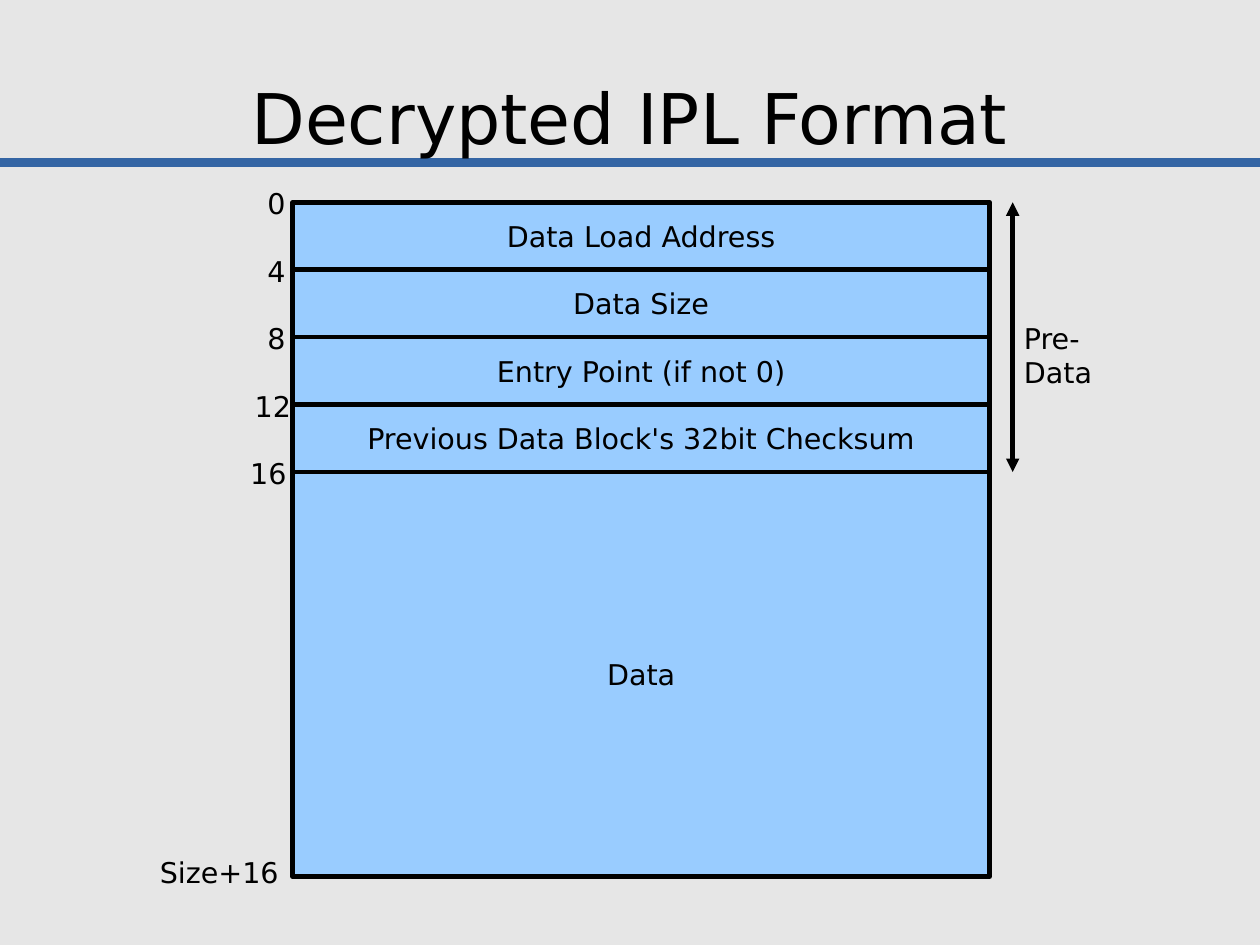
from pptx import Presentation
from pptx.dml.color import RGBColor
from pptx.enum.shapes import MSO_CONNECTOR, MSO_SHAPE
from pptx.enum.text import MSO_ANCHOR, MSO_AUTO_SIZE, PP_ALIGN
from pptx.oxml.ns import qn
from pptx.util import Inches, Pt
from lxml import etree

RECT = MSO_SHAPE.RECTANGLE
LINE = MSO_CONNECTOR.STRAIGHT
MIDDLE, TOP = MSO_ANCHOR.MIDDLE, MSO_ANCHOR.TOP
CENTER, LEFT = PP_ALIGN.CENTER, PP_ALIGN.LEFT
GROW = MSO_AUTO_SIZE.SHAPE_TO_FIT_TEXT


def paint(color, hue):
    color.rgb = RGBColor.from_string(hue)


def write(shape, text, size=18, align=CENTER, anchor=MIDDLE, pad=(0.12, 0.07), wrap=True):
    frame = shape.text_frame
    frame.word_wrap = wrap
    frame.vertical_anchor = anchor
    frame.margin_left = frame.margin_right = Inches(pad[0])
    frame.margin_top = frame.margin_bottom = Inches(pad[1])
    para = frame.paragraphs[0]
    para.alignment = align
    run = para.add_run()
    run.text = text
    run.font.size = Pt(size)
    run.font.name = "DejaVu Sans"
    paint(run.font.color, "000000")


# Slide of 28 by 21 cm
deck = Presentation()
deck.slide_width, deck.slide_height = Inches(28 / 2.54), Inches(21 / 2.54)
slide = deck.slides.add_slide(deck.slide_layouts[6])
slide.background.fill.solid()
paint(slide.background.fill.fore_color, "E6E6E6")
shapes = slide.shapes

# Layout of the block diagram
left, top, width, row = 2.56, 1.77, 6.1, 0.59
fields = [
    ("Data Load Address", 1),
    ("Data Size", 1),
    ("Entry Point (if not 0)", 1),
    ("Previous Data Block's 32bit Checksum", 1),
    ("Data", 6),
]
split = top + 4 * row

# Title rule and arrow beside the first four fields
rules = [
    (0, 1.42, 28 / 2.54, 1.42, "3465A4", 5.67, False),
    (8.86, top, 8.86, split, "000000", 2.83, True),
]
for x1, y1, x2, y2, hue, weight, arrow in rules:
    rule = shapes.add_connector(LINE, Inches(x1), Inches(y1), Inches(x2), Inches(y2))
    paint(rule.line.color, hue)
    rule.line.width = Pt(weight)
    if arrow:
        for end in ("a:headEnd", "a:tailEnd"):
            etree.SubElement(rule.line._get_or_add_ln(), qn(end), type="triangle")
    etree.SubElement(rule._element.spPr, qn("a:effectLst"))

# Title
title = shapes.add_textbox(Inches(0.55), Inches(0.33), Inches(9.92), Inches(1.38))
write(title, "Decrypted IPL Format", size=44, pad=(0, 0))

# Fields, stacked by their height in rows
y = top
for name, rows in fields:
    field = shapes.add_shape(RECT, Inches(left), Inches(y), Inches(width), Inches(rows * row))
    field.shadow.inherit = False
    field.fill.solid()
    paint(field.fill.fore_color, "99CCFF")
    paint(field.line.color, "000000")
    field.line.width = Pt(2.83)
    write(field, name)
    y += rows * row

# Offsets and side label: text, left, row line, width
labels = [
    ("0", 2.24, 0, 0.36),
    ("4", 2.24, 1, 0.36),
    ("8", 2.24, 2, 0.36),
    ("12", 2.13, 3, 0.52),
    ("16", 2.09, 4, 0.52),
    ("Size+16", 1.3, 9.92, 1.24),
    ("Pre-Data", 8.86, 2, 1.28),
]
for text, x, step, wide in labels:
    label = shapes.add_textbox(Inches(x), Inches(top - 0.19 + step * row), Inches(wide), Inches(0.39))
    write(label, text, align=LEFT, anchor=TOP, pad=(0.1, 0.05), wrap=False)
    label.text_frame.auto_size = GROW

deck.save("out.pptx")
